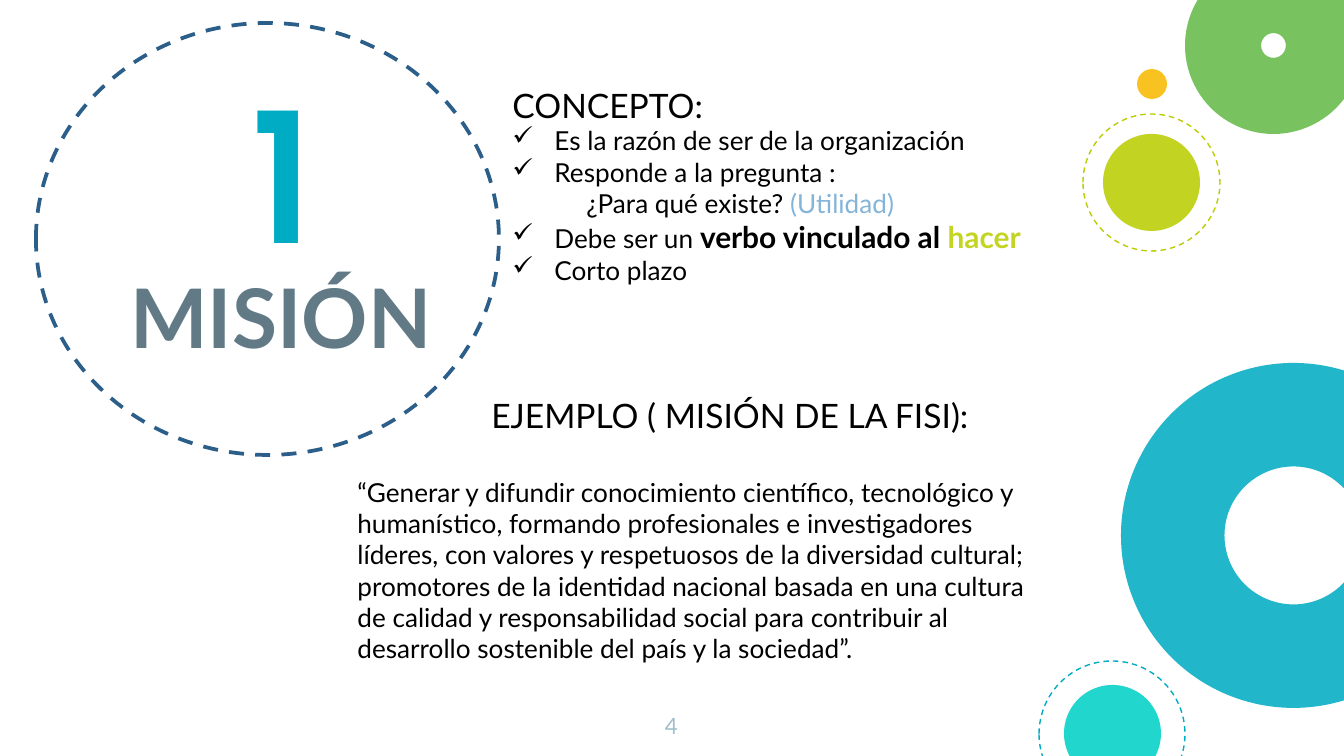
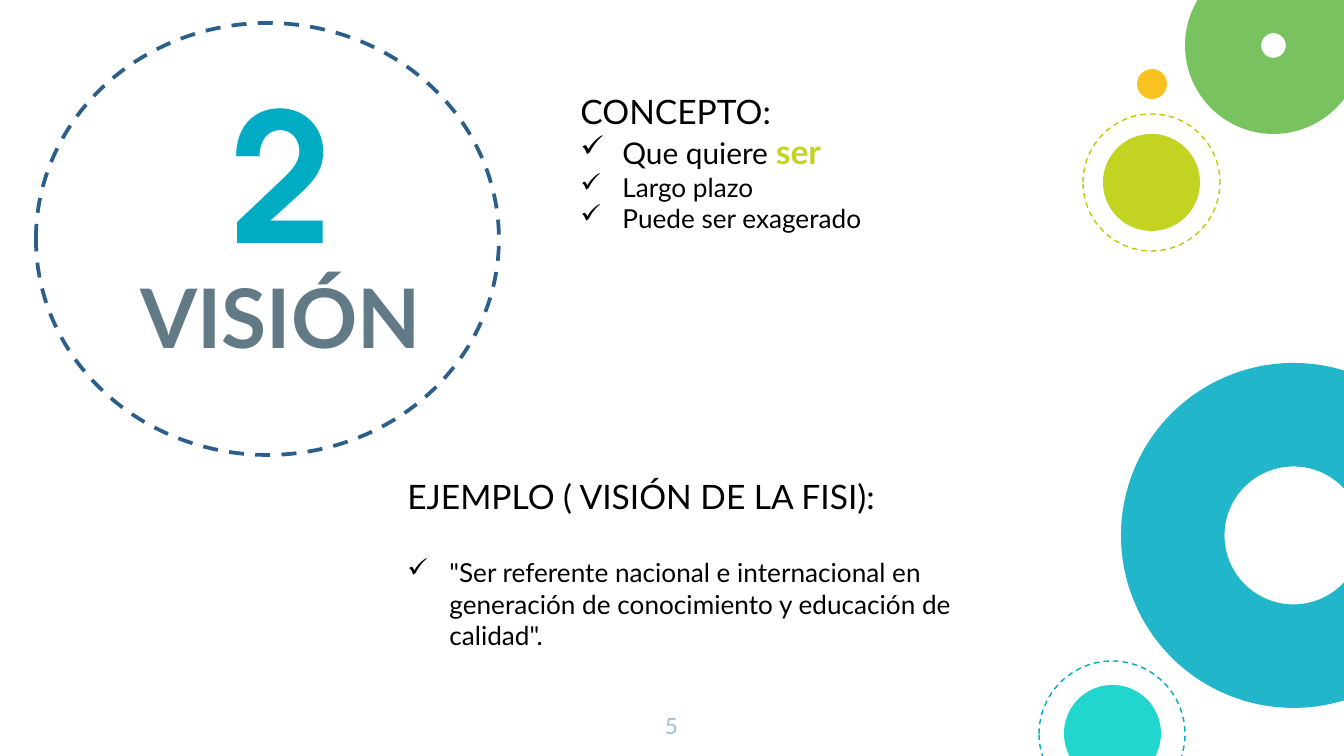
from lxml.etree import SubElement
from pptx import Presentation
from pptx.dml.color import RGBColor
from pptx.enum.dml import MSO_LINE
from pptx.enum.shapes import MSO_SHAPE
from pptx.enum.text import MSO_ANCHOR, PP_ALIGN
from pptx.oxml.ns import qn
from pptx.util import Emu, Pt

EMU_PER_PIXEL = 914400 / 134.4
SLIDE_SIZE = (1344, 756)

BLACK = RGBColor(0x00, 0x00, 0x00)
WHITE = RGBColor(0xFF, 0xFF, 0xFF)
TEAL = RGBColor(0x00, 0xAC, 0xC3)
TURQUOISE = RGBColor(0x00, 0xD1, 0xC6)
LIME = RGBColor(0xBB, 0xCD, 0x00)
GREEN = RGBColor(0x65, 0xBB, 0x48)
AMBER = RGBColor(0xF8, 0xBB, 0x00)
NAVY = RGBColor(0x2B, 0x5F, 0x8A)
SLATE = RGBColor(0x61, 0x7A, 0x86)
MIST = RGBColor(0xA1, 0xBE, 0xCC)
SKY = RGBColor(0x85, 0xB4, 0xD9)
KEYWORD = RGBColor(0xC4, 0xD4, 0x22)

BODY_FONT = "Lato"
NUMERAL_FONT = "TeX Gyre Adventor"
BULLET_INDENT = 42
OPACITY = 87


def px(length):
    """Turn pixels into EMU."""
    return Emu(round(length * EMU_PER_PIXEL))


def add_round(slide, box, kind=MSO_SHAPE.OVAL, fill=None, line=None,
              width=0.75, hole=None):
    """Draw a circle or ring, translucent if filled, dashed if outlined."""
    figure = slide.shapes.add_shape(kind, *map(px, box))
    figure.shadow.inherit = False
    if hole is not None:
        figure.adjustments[0] = hole
    if fill is None:
        figure.fill.background()
    else:
        figure.fill.solid()
        figure.fill.fore_color.rgb = fill
        tint = figure.fill._xPr.find(".//" + qn("a:srgbClr"))
        SubElement(tint, qn("a:alpha")).set("val", str(OPACITY * 1000))
    if line is None:
        figure.line.fill.background()
    else:
        figure.line.color.rgb = line
        figure.line.width = Pt(width)
        figure.line.dash_style = MSO_LINE.DASH


def run(text, size=14, color=BLACK, bold=False, font=BODY_FONT):
    """Describe one stretch of text and its format."""
    return dict(text=text, size=size, color=color, bold=bold, font=font)


def line_of(*runs, bullet=False, indent=0, after=0):
    """Describe one paragraph; indent is in pixels, after in points."""
    return dict(runs=runs, bullet=bullet, indent=indent, after=after)


def add_check(paragraph):
    """Give a paragraph a hanging check mark."""
    properties = paragraph._p.get_or_add_pPr()
    properties.set("marL", str(px(BULLET_INDENT)))
    properties.set("indent", str(-px(BULLET_INDENT)))
    color = SubElement(properties, qn("a:buClr"))
    SubElement(color, qn("a:srgbClr")).set("val", str(BLACK))
    SubElement(properties, qn("a:buChar")).set("char", "✓")


def add_text(slide, box, lines, align=PP_ALIGN.LEFT, anchor=MSO_ANCHOR.TOP,
             margins=(13.4, 13.4, 13.4, 13.4)):
    """Place paragraphs in a box; margins are left, top, right, bottom."""
    frame = slide.shapes.add_textbox(*map(px, box)).text_frame
    frame.word_wrap = True
    frame.vertical_anchor = anchor
    (frame.margin_left, frame.margin_top,
     frame.margin_right, frame.margin_bottom) = map(px, margins)
    for position, line in enumerate(lines):
        paragraph = frame.add_paragraph() if position else frame.paragraphs[0]
        paragraph.alignment = align
        if line["after"]:
            paragraph.space_after = Pt(line["after"])
        if line["bullet"]:
            add_check(paragraph)
        elif line["indent"]:
            paragraph._p.get_or_add_pPr().set("marL", str(px(line["indent"])))
        for piece in line["runs"]:
            words = paragraph.add_run()
            words.text = piece["text"]
            words.font.size = Pt(piece["size"])
            words.font.name = piece["font"]
            words.font.bold = piece["bold"]
            words.font.color.rgb = piece["color"]


def add_ornaments(slide):
    """Draw the coloured rings and circles along the right edge."""
    add_round(slide, (1121, 363, 345, 345), MSO_SHAPE.DONUT, TEAL, hole=0.3)
    add_round(slide, (1064, 685, 97, 97), fill=TURQUOISE)
    add_round(slide, (1103, 134, 97, 97), fill=LIME)
    add_round(slide, (1185, -43, 177, 177), MSO_SHAPE.DONUT, GREEN, hole=0.43)
    add_round(slide, (1039, 661, 146, 146), line=TEAL)
    add_round(slide, (1083, 114, 137, 137), line=LIME)
    add_round(slide, (1137, 69, 30, 30), fill=AMBER)


def add_badge(slide, box, numeral, title):
    """Draw the dashed circle with its numeral above its title."""
    left, top, width, height = box
    add_text(slide, (left - 36, top + 184, 562, 171),
             [line_of(run(title, 44, SLATE, True))],
             PP_ALIGN.CENTER, MSO_ANCHOR.BOTTOM)
    add_text(slide, (left + 26, top - 23, 437, 293),
             [line_of(run(numeral, 96, TEAL, True, NUMERAL_FONT))],
             PP_ALIGN.CENTER, MSO_ANCHOR.BOTTOM)
    add_round(slide, box, line=NAVY, width=2)


def add_section(slide, box, heading, lines, indent=0, gap=0, bottom=52):
    """Place a heading and its lines, centred above the bottom margin."""
    title = line_of(run(heading, 18), indent=indent, after=gap)
    add_text(slide, box, [title, *lines], anchor=MSO_ANCHOR.MIDDLE,
             margins=(13.4, 6.7, 13.4, bottom))


def add_topic(deck, page, numeral, title):
    """Add a slide with what all topics share."""
    slide = deck.slides.add_slide(deck.slide_layouts[6])
    slide.background.fill.solid()
    slide.background.fill.fore_color.rgb = WHITE
    add_ornaments(slide)
    add_badge(slide, (36, 23, 463, 432), numeral, title)
    add_text(slide, (637, 699, 69, 58), [line_of(run(page, 12, MIST))],
             PP_ALIGN.CENTER)
    return slide


def add_mission(deck):
    """Build the mission slide."""
    slide = add_topic(deck, "4", "1", "MISIÓN")
    add_section(slide, (499, 70, 657, 276), "CONCEPTO:", [
        line_of(run("Es la razón de ser de la organización"), bullet=True),
        line_of(run("Responde a la pregunta :"), bullet=True),
        line_of(run("¿Para qué existe? "), run("(Utilidad)", color=SKY),
                indent=74),
        line_of(run("Debe ser un "), run("verbo vinculado al ", 16, bold=True),
                run("hacer", 16, KEYWORD, True), bullet=True),
        line_of(run("Corto plazo"), bullet=True),
    ])
    quote = ("“Generar y difundir conocimiento científico, tecnológico y "
             "humanístico, formando profesionales e investigadores líderes, "
             "con valores y respetuosos de la diversidad cultural; promotores "
             "de la identidad nacional basada en una cultura de calidad y "
             "responsabilidad social para contribuir al desarrollo sostenible "
             "del país y la sociedad”.")
    add_section(slide, (344, 430, 707, 276), "EJEMPLO ( MISIÓN DE LA FISI):",
                [line_of(run(quote))], indent=134, gap=21.6, bottom=83)


def add_vision(deck):
    """Build the vision slide."""
    slide = add_topic(deck, "5", "2", "VISIÓN")
    add_section(slide, (567, 47, 657, 276), "CONCEPTO:", [
        line_of(run("Que quiere ", 16), run("ser", 18, KEYWORD, True),
                bullet=True),
        line_of(run("Largo plazo"), bullet=True),
        line_of(run("Puede ser exagerado"), bullet=True),
    ])
    quote = ("\"Ser referente nacional e internacional en generación de "
             "conocimiento y educación de calidad\".")
    add_section(slide, (394, 448, 657, 276), "EJEMPLO ( VISIÓN DE LA FISI):",
                [line_of(run(quote), bullet=True)], gap=21.6)


def main():
    """Build and save the deck."""
    deck = Presentation()
    deck.slide_width, deck.slide_height = map(px, SLIDE_SIZE)
    add_mission(deck)
    add_vision(deck)
    deck.save("out.pptx")


main()
